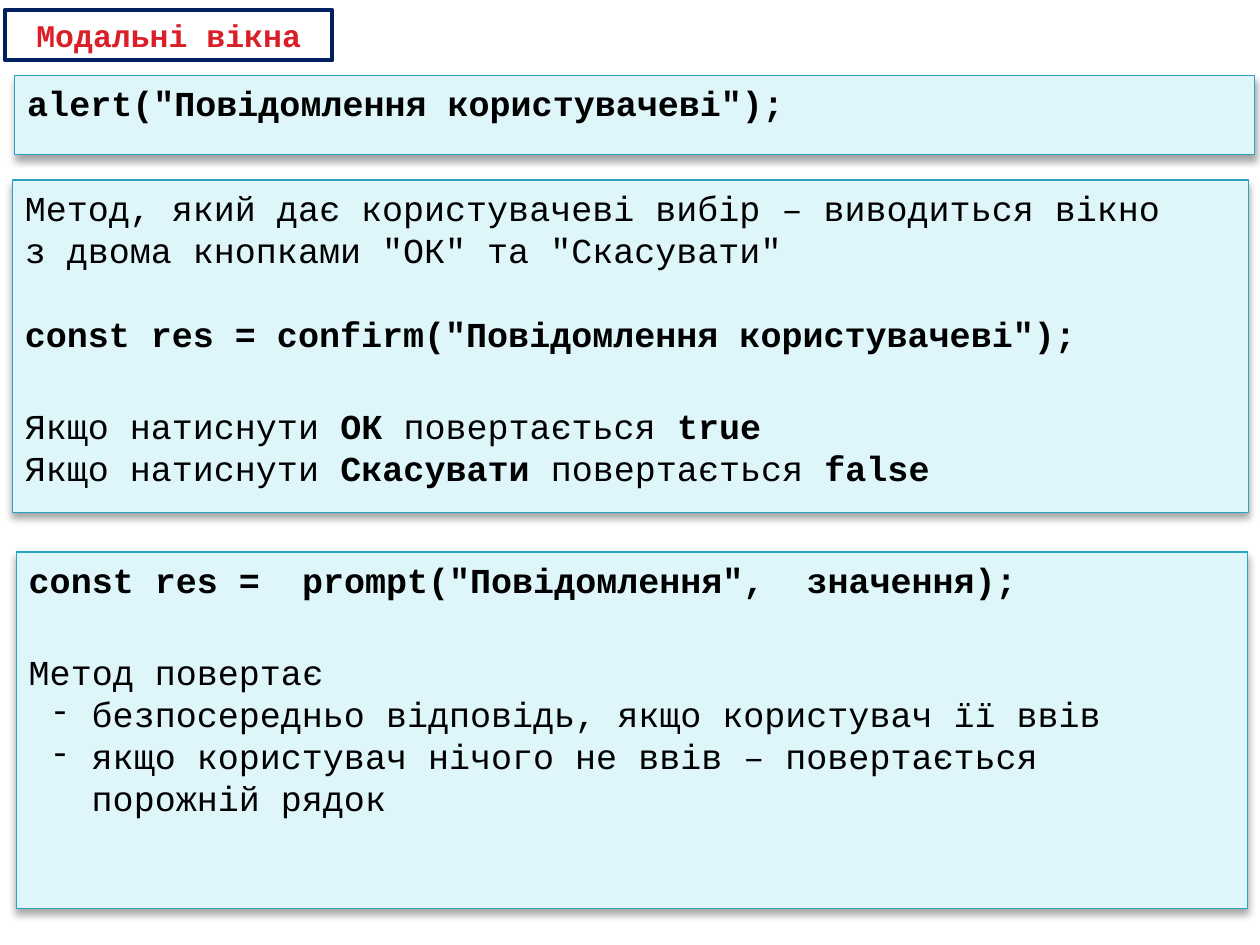
from dataclasses import dataclass

from lxml.etree import SubElement
from pptx import Presentation
from pptx.dml.color import RGBColor
from pptx.enum.shapes import MSO_SHAPE
from pptx.enum.text import MSO_ANCHOR, PP_ALIGN
from pptx.oxml.ns import qn
from pptx.shapes.autoshape import Shape
from pptx.slide import Slide
from pptx.text.text import _Paragraph
from pptx.util import Cm, Pt

BLACK = RGBColor(0x00, 0x00, 0x00)
WHITE = RGBColor(0xFF, 0xFF, 0xFF)
RED = RGBColor(0xDA, 0x1F, 0x28)
NAVY = RGBColor(0x00, 0x20, 0x60)
TEAL = RGBColor(0x2D, 0xA2, 0xBF)
PALE_BLUE = RGBColor(0xDE, 0xF5, 0xFA)
FONT = "Courier New"
SMALL_GAP = 24
LARGE_GAP = 28.8


@dataclass(frozen=True)
class Line:
    text: str
    bold: bool = False
    gap: float = 0
    dash: bool = False


@dataclass(frozen=True)
class Result:
    button: str
    value: str
    gap: float = 0


@dataclass(frozen=True)
class Panel:
    left: float
    top: float
    width: float
    height: float
    lines: tuple[Line | Result, ...]


PANELS = (
    Panel(0.3, 1.52, 24.99, 1.6, (
        Line('alert("Повідомлення користувачеві");', bold=True),
    )),
    Panel(0.25, 3.63, 24.92, 6.71, (
        Line("Метод, який дає користувачеві вибір – виводиться вікно"),
        Line('з двома кнопками "ОК" та "Скасувати"'),
        Line('const res = confirm("Повідомлення користувачеві");', bold=True, gap=SMALL_GAP),
        Result("ОК", "true", gap=LARGE_GAP),
        Result("Скасувати", "false"),
    )),
    Panel(0.33, 11.13, 24.82, 7.19, (
        Line('const res =  prompt("Повідомлення",  значення);', bold=True),
        Line("Метод повертає", gap=LARGE_GAP),
        Line("безпосередньо відповідь, якщо користувач її ввів", dash=True),
        Line("якщо користувач нічого не ввів – повертається\vпорожній рядок", dash=True),
    )),
)


def add_box(slide: Slide, left: float, top: float, width: float, height: float,
            fill: RGBColor, border: RGBColor, border_width: float) -> Shape:
    box = slide.shapes.add_shape(
        MSO_SHAPE.RECTANGLE, Cm(left), Cm(top), Cm(width), Cm(height))
    box.shadow.inherit = False
    box.fill.solid()
    box.fill.fore_color.rgb = fill
    box.line.color.rgb = border
    box.line.width = Pt(border_width)
    box.text_frame.word_wrap = True
    return box


def add_shadow(box: Shape) -> None:
    effects = box._element.spPr.find(qn("a:effectLst"))
    shadow = SubElement(effects, qn("a:outerShdw"), blurRad=str(Pt(4)),
                        dist=str(Pt(3)), dir="5400000", rotWithShape="0")
    color = SubElement(shadow, qn("a:srgbClr"), val=str(BLACK))
    SubElement(color, qn("a:alpha"), val="35000")


def add_dash(paragraph: _Paragraph) -> None:
    properties = paragraph._p.get_or_add_pPr()
    properties.set("marL", str(Pt(36)))
    properties.set("indent", str(Pt(-24)))
    SubElement(properties, qn("a:buFont"), typeface=FONT)
    SubElement(properties, qn("a:buChar"), char="-")


def style(paragraph: _Paragraph, size: float, color: RGBColor) -> None:
    paragraph.font.name = FONT
    paragraph.font.size = Pt(size)
    paragraph.font.color.rgb = color


def write_line(paragraph: _Paragraph, line: Line | Result) -> None:
    paragraph.alignment = PP_ALIGN.LEFT
    if line.gap:
        paragraph.space_before = Pt(line.gap)
    if isinstance(line, Result):
        parts = (("Якщо натиснути ", False), (line.button, True),
                 (" повертається ", False), (line.value, True))
        for text, bold in parts:
            run = paragraph.add_run()
            run.text = text
            run.font.bold = bold
    else:
        paragraph.text = line.text
        if line.dash:
            add_dash(paragraph)
        paragraph.font.bold = line.bold
    style(paragraph, 20, BLACK)


def add_panel(slide: Slide, panel: Panel) -> None:
    box = add_box(slide, panel.left, panel.top, panel.width, panel.height,
                  PALE_BLUE, TEAL, 0.75)
    add_shadow(box)
    frame = box.text_frame
    frame.vertical_anchor = MSO_ANCHOR.TOP
    for index, line in enumerate(panel.lines):
        write_line(frame.add_paragraph() if index else frame.paragraphs[0], line)


def add_title(slide: Slide) -> None:
    box = add_box(slide, 0.1, 0.2, 6.6, 1.02, WHITE, NAVY, 2.25)
    box.text_frame.vertical_anchor = MSO_ANCHOR.MIDDLE
    heading = box.text_frame.paragraphs[0]
    heading.text = "Модальні вікна"
    heading.alignment = PP_ALIGN.CENTER
    heading.font.bold = True
    style(heading, 18, RED)


def main() -> None:
    presentation = Presentation()
    presentation.slide_width = Cm(25.4)
    presentation.slide_height = Cm(19.05)
    slide = presentation.slides.add_slide(presentation.slide_layouts[6])
    for panel in PANELS:
        add_panel(slide, panel)
    add_title(slide)
    presentation.save("out.pptx")


if __name__ == "__main__":
    main()
